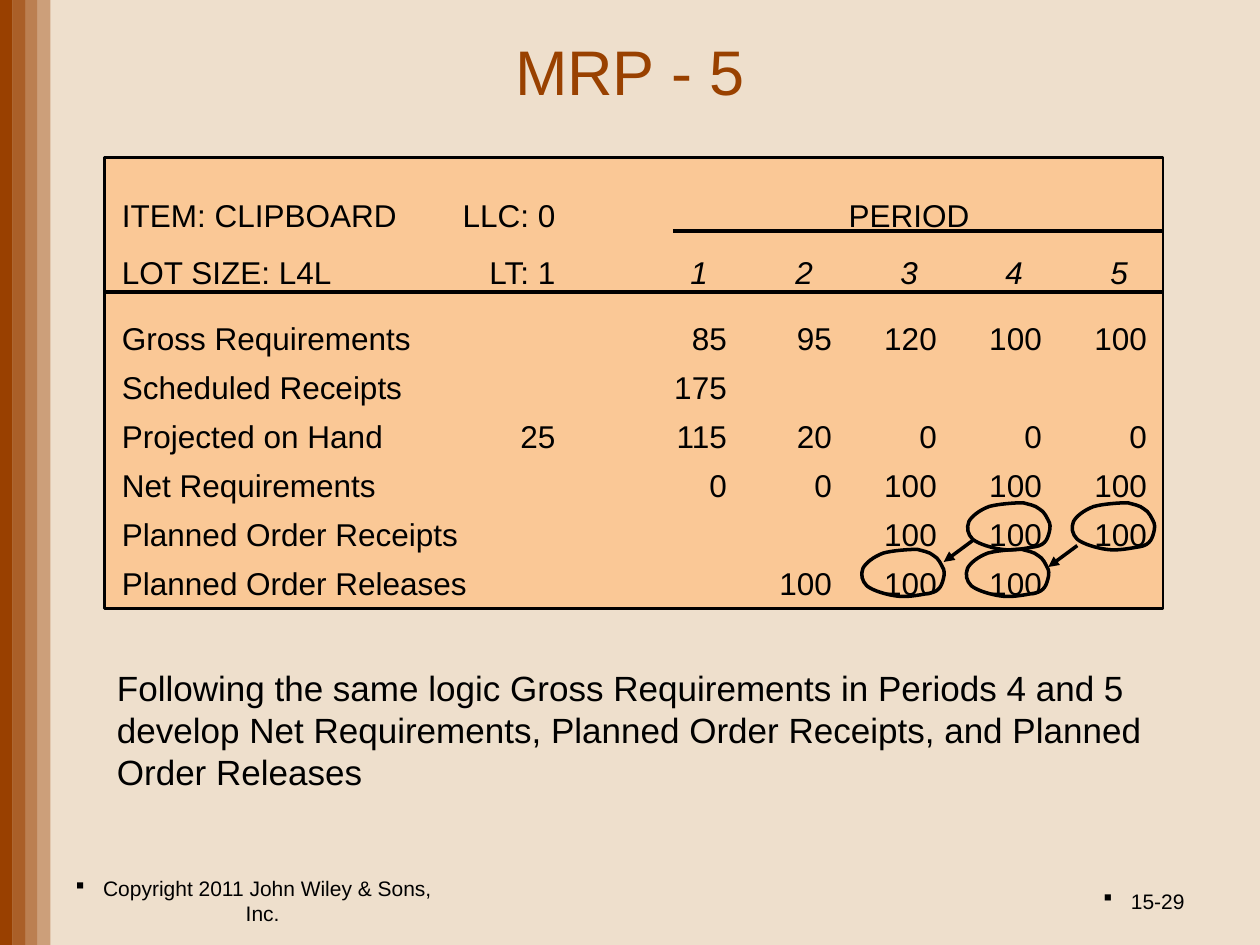
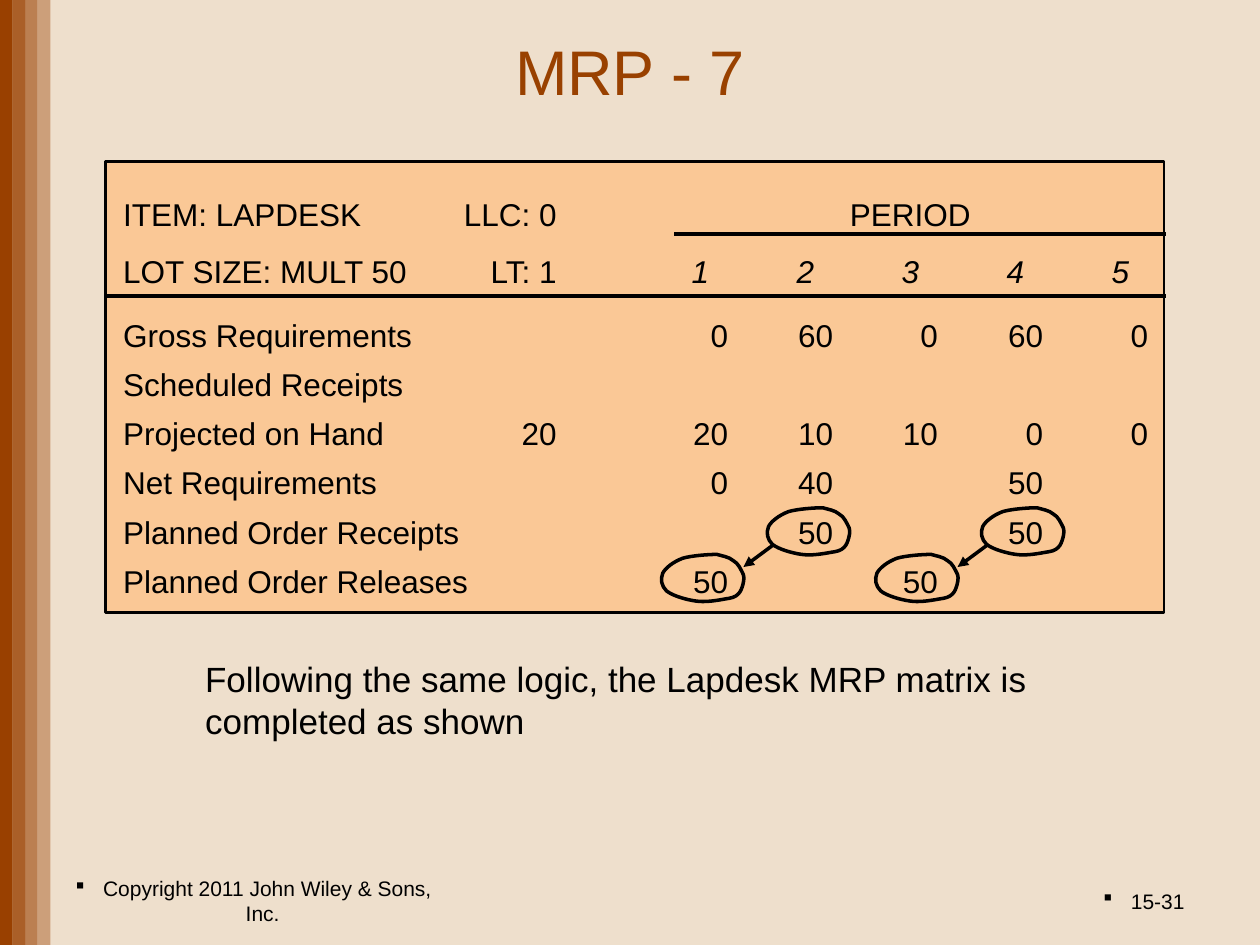
import itertools

import pptx
import pptx.dml.color
import pptx.enum.shapes
import pptx.enum.text
import pptx.oxml.ns
import pptx.util
from lxml import etree

Inches = pptx.util.Inches
Pt = pptx.util.Pt
Align = pptx.enum.text.PP_ALIGN
Anchor = pptx.enum.text.MSO_ANCHOR
qn = pptx.oxml.ns.qn

FONT = "Arial"
BACKGROUND, BAND, TITLE, PANEL, INK = "EEDFCC", "994000", "994100", "FAC896", "000000"
COPYRIGHT = "Copyright 2011 John Wiley & Sons, Inc."

ROW_LABELS = ["Gross Requirements", "Scheduled Receipts", "Projected on Hand",
              "Net Requirements", "Planned Order Receipts", "Planned Order Releases"]
PERIODS = 5
PERIOD_WIDTH = 2.5 / 3
STOCK_TAB = (3.44, "r")
HEADER_TABS = [STOCK_TAB] + [(4.58 + i * PERIOD_WIDTH, "ctr") for i in range(PERIODS)]
VALUE_TABS = [STOCK_TAB] + [(4.8 + i * PERIOD_WIDTH, "r") for i in range(PERIODS)]

LOOP_START = (0.45, 0)
LOOP_CURVES = [
    ((0.38, 0), (0.25, 0.01), (0.18, 0.03)),
    ((0.10, 0.06), (0.04, 0.11), (0.02, 0.15)),
    ((0, 0.20), (0.01, 0.25), (0.05, 0.29)),
    ((0.10, 0.33), (0.21, 0.36), (0.28, 0.37)),
    ((0.35, 0.38), (0.42, 0.37), (0.48, 0.36)),
    ((0.53, 0.35), (0.57, 0.35), (0.60, 0.33)),
    ((0.63, 0.31), (0.64, 0.29), (0.65, 0.26)),
    ((0.66, 0.23), (0.67, 0.19), (0.66, 0.16)),
    ((0.64, 0.12), (0.62, 0.07), (0.58, 0.05)),
    ((0.55, 0.02), (0.48, 0.01), (0.45, 0)),
]


def color(hex_value):
    return pptx.dml.color.RGBColor.from_string(hex_value)


def style_paragraph(para, size, hex_value=INK, align=Align.LEFT):
    para.alignment = align
    para.font.name = FONT
    para.font.size = Pt(size)
    para.font.color.rgb = color(hex_value)


def add_frame(page, left, top, width, height, anchor=Anchor.TOP):
    box = page.shapes.add_textbox(Inches(left), Inches(top), Inches(width), Inches(height))
    box.text_frame.word_wrap = True
    box.text_frame.vertical_anchor = anchor
    return box.text_frame


def add_text(page, text, left, top, width, height, size, hex_value=INK,
             align=Align.LEFT, anchor=Anchor.TOP, bullet=False):
    para = add_frame(page, left, top, width, height, anchor).paragraphs[0]
    para.text = text
    if bullet:
        add_bullet(para)
    style_paragraph(para, size, hex_value, align)


def add_bullet(para):
    properties = para._p.get_or_add_pPr()
    properties.set("marL", "0")
    properties.set("indent", str(Inches(-0.22)))
    etree.SubElement(properties, qn("a:buFont"), typeface="Wingdings")
    etree.SubElement(properties, qn("a:buChar"), char="§")


def add_tabbed_rows(page, left, top, width, height, rows, tabs, spacing):
    frame = add_frame(page, left, top, width, height)
    for index, (plain, italic) in enumerate(rows):
        para = frame.add_paragraph() if index else frame.paragraphs[0]
        para.line_spacing = spacing
        tab_list = etree.SubElement(para._p.get_or_add_pPr(), qn("a:tabLst"))
        for position, align in tabs:
            etree.SubElement(tab_list, qn("a:tab"), pos=str(Inches(position)), algn=align)
        style_paragraph(para, 18)
        para.add_run().text = plain
        if italic:
            span = para.add_run()
            span.text = italic
            span.font.italic = True


def add_rectangle(page, left, top, width, height, fill, outline=None, opacity=100):
    box = page.shapes.add_shape(pptx.enum.shapes.MSO_SHAPE.RECTANGLE, Inches(left),
                                Inches(top), Inches(width), Inches(height))
    box.shadow.inherit = False
    box.fill.solid()
    box.fill.fore_color.rgb = color(fill)
    if opacity < 100:
        hue = box._element.spPr.find(".//" + qn("a:srgbClr"))
        etree.SubElement(hue, qn("a:alpha"), val=str(opacity * 1000))
    if outline:
        box.line.color.rgb = color(outline)
        box.line.width = Pt(1.5)
    else:
        box.line.fill.background()


def add_line(page, start, end, width, arrow=False):
    line = page.shapes.add_connector(pptx.enum.shapes.MSO_CONNECTOR.STRAIGHT,
                                     *map(Inches, start + end))
    line.line.color.rgb = color(INK)
    line.line.width = Pt(width)
    if arrow:
        etree.SubElement(line.line._get_or_add_ln(), qn("a:tailEnd"), type="triangle")
    etree.SubElement(line._element.spPr, qn("a:effectLst"))


def curve_outline(shape):
    segments = list(shape._element.spPr.iter(qn("a:lnTo")))
    for first in range(0, len(segments), 3):
        curve = etree.Element(qn("a:cubicBezTo"))
        segments[first].addprevious(curve)
        for segment in segments[first:first + 3]:
            curve.append(segment[0])
            segment.getparent().remove(segment)


def add_loop(page, left, top):
    def place(point):
        return Inches(left + point[0]), Inches(top + point[1])

    builder = page.shapes.build_freeform(*place(LOOP_START))
    points = itertools.chain.from_iterable(LOOP_CURVES)
    builder.add_line_segments([place(point) for point in points], close=True)
    loop = builder.convert_to_shape()
    curve_outline(loop)
    loop.shadow.inherit = False
    loop.fill.background()
    loop.line.color.rgb = color(INK)
    loop.line.width = Pt(2)


def add_release_link(page, left, top, arrow_drop=0.3):
    add_loop(page, left, top)
    add_loop(page, left - 0.84, top + 0.37)
    add_line(page, (left + 0.05, top + arrow_drop),
             (left - 0.18, top + arrow_drop + 0.17), 2, arrow=True)


def add_panel(page, left, top):
    add_rectangle(page, left, top, 8.4, 3.58, PANEL, INK)
    for line_left, drop in ((left + 0.01, 1.07), (left + 4.51, 0.58)):
        add_line(page, (line_left, top + drop), (left + 8.41, top + drop), 2.25)


def add_matrix(page, left, header_top, values_top, item, lot_size, rows):
    periods = "\t".join(str(period + 1) for period in range(PERIODS))
    header = [(f"ITEM: {item}\tLLC: 0\t\t\tPERIOD", ""),
              (f"LOT SIZE: {lot_size}\tLT: 1\t", periods)]
    add_tabbed_rows(page, left, header_top, 8.4, 0.95, header, HEADER_TABS, 1.5)
    body = [("\t".join(map(str, (label,) + amounts)), "")
            for label, amounts in zip(ROW_LABELS, rows)]
    add_tabbed_rows(page, left, values_top, 8.46, 2.44, body, VALUE_TABS, 1.3)


def add_page(deck, title, number):
    page = deck.slides.add_slide(deck.slide_layouts[6])
    page.background.fill.solid()
    page.background.fill.fore_color.rgb = color(BACKGROUND)
    for band, opacity in enumerate((100, 80, 60, 40)):
        add_rectangle(page, band * 0.1, 0, 0.1, 7.5, BAND, opacity=opacity)
    add_text(page, COPYRIGHT, 0.5, 6.95, 3.17, 0.4, 12,
             align=Align.CENTER, anchor=Anchor.MIDDLE, bullet=True)
    add_text(page, number, 7.17, 6.95, 2.33, 0.4, 12,
             align=Align.RIGHT, anchor=Anchor.MIDDLE, bullet=True)
    add_text(page, title, 1.75, 0.13, 6.5, 0.85, 36, TITLE, Align.CENTER, Anchor.MIDDLE)
    return page


def main():
    deck = pptx.Presentation()
    deck.slide_width, deck.slide_height = Inches(10), Inches(7.5)

    clipboard = add_page(deck, "MRP - 5", "15-29")
    add_panel(clipboard, 0.83, 1.25)
    add_matrix(clipboard, 0.87, 1.36, 2.39, "CLIPBOARD", "L4L", [
        ("", 85, 95, 120, 100, 100),
        ("", 175),
        (25, 115, 20, 0, 0, 0),
        ("", 0, 0, 100, 100, 100),
        ("", "", "", 100, 100, 100),
        ("", "", 100, 100, 100),
    ])
    add_release_link(clipboard, 7.67, 3.99)
    add_release_link(clipboard, 8.5, 3.99, arrow_drop=0.34)
    add_text(clipboard, "Following the same logic Gross Requirements in Periods 4 and 5 "
             "develop Net Requirements, Planned Order Receipts, and Planned Order Releases",
             0.83, 5.24, 8.47, 1.1, 20)

    lapdesk = add_page(deck, "MRP - 7", "15-31")
    add_panel(lapdesk, 0.84, 1.28)
    add_matrix(lapdesk, 0.88, 1.35, 2.37, "LAPDESK", "MULT 50", [
        ("", 0, 60, 0, 60, 0),
        (),
        (20, 20, 10, 10, 0, 0),
        ("", 0, 40, "", 50),
        ("", "", 50, "", 50),
        ("", 50, "", 50),
    ])
    for left in (6.08, 7.78):
        add_release_link(lapdesk, left, 4.03)
    add_text(lapdesk, "Following the same logic, the Lapdesk MRP matrix is completed as shown",
             1.53, 5.17, 7.27, 0.77, 20)

    deck.save("out.pptx")


if __name__ == "__main__":
    main()
